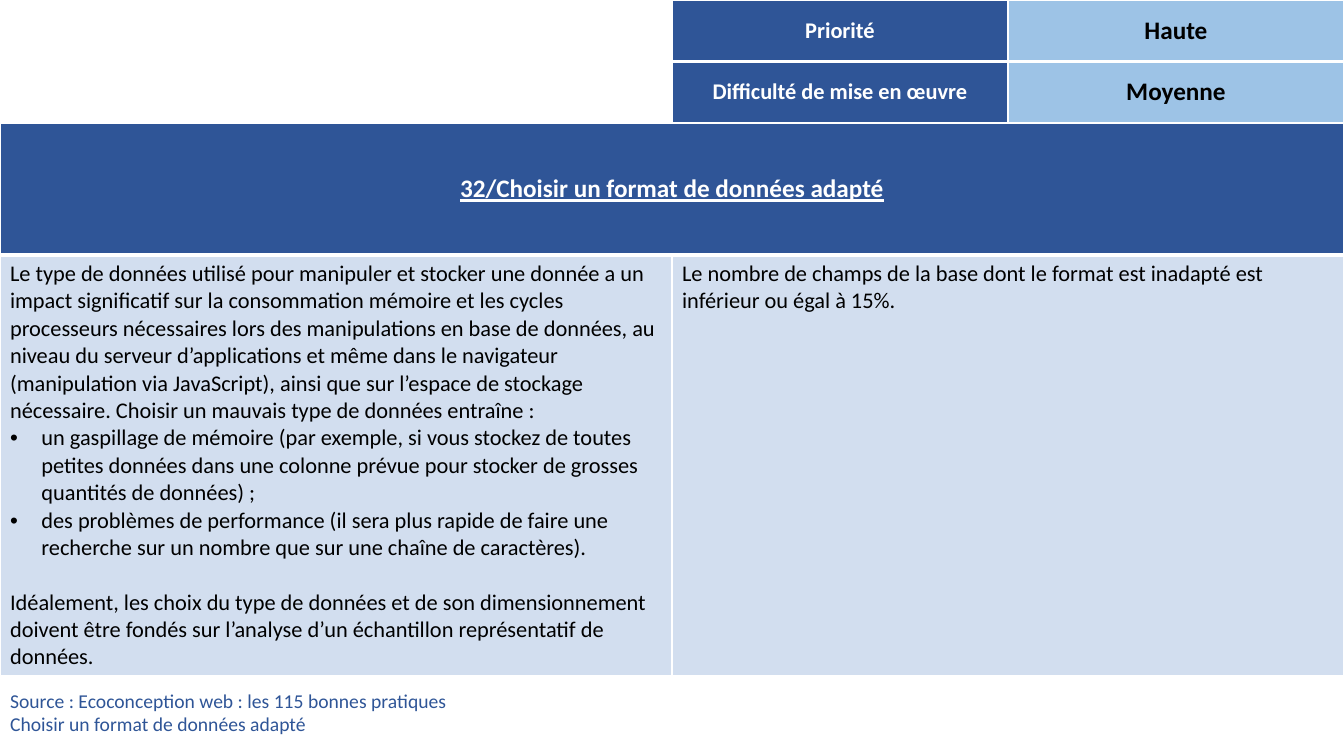
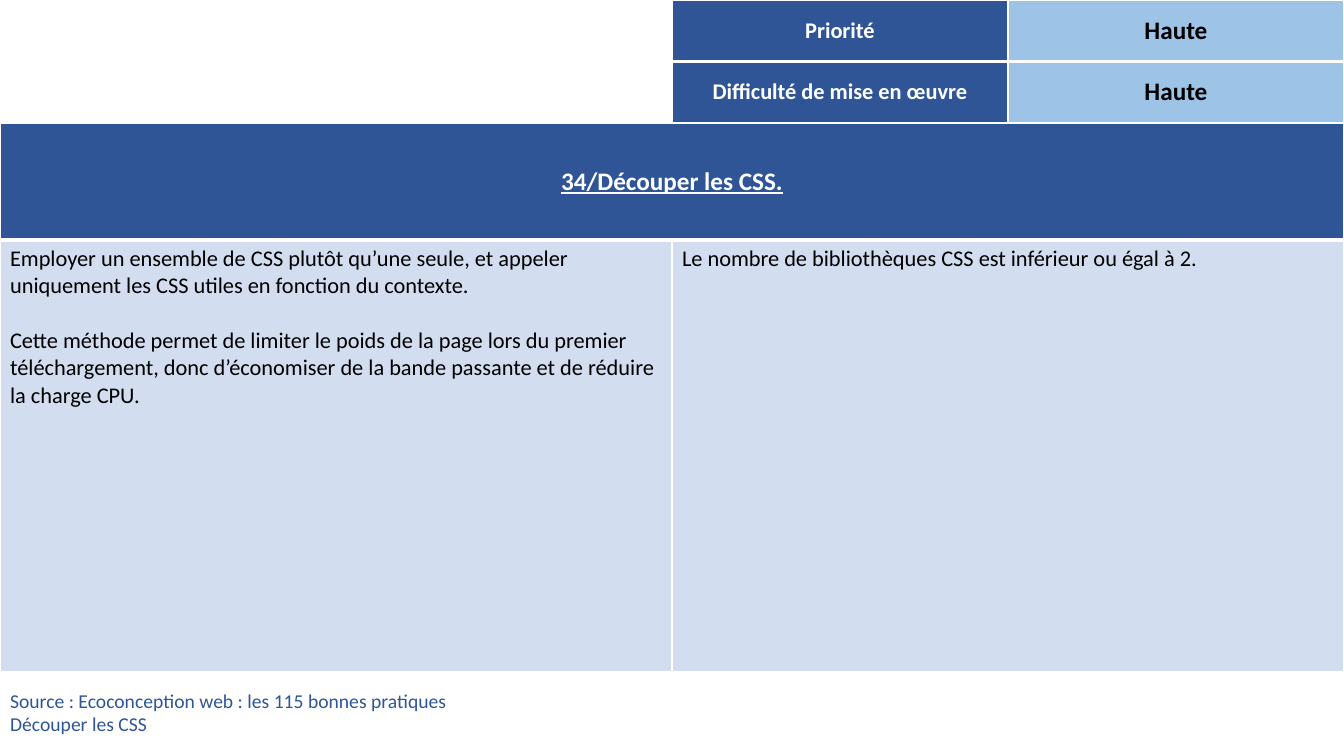
import pptx
import pptx.util
import pptx.dml.color
import pptx.enum.text
import pptx.oxml
import pptx.oxml.ns
from pptx.util import Cm, Pt

COLORS = {
    "white": "FFFFFF",
    "black": "000000",
    "navy": "2F5597",
    "sky": "9DC3E6",
    "pale": "D2DEEF",
}
FONT = "Calibri"
SLIDE_W, SLIDE_H = Cm(33.87), Cm(19.05)
HALF_W = SLIDE_W // 2
RATING_H = Cm(1.55)
SHEET_TOP, SHEET_H = 2 * RATING_H, Cm(13.83)
SOURCE_TOP, SOURCE_W, SOURCE_H = Cm(17.05), Cm(28.52), Cm(1.85)
GAP = Pt(19.5)
INDENT = Cm(0.79)

practices = [
    {
        "title": "32/Choisir un format de données adapté",
        "title_height": Cm(3.33),
        "priority": "Haute",
        "difficulty": "Moyenne",
        "description": [
            ("plain", "Le type de données utilisé pour manipuler et stocker une donnée a un "
             "impact significatif sur la consommation mémoire et les cycles processeurs "
             "nécessaires lors des manipulations en base de données, au niveau du serveur "
             "d’applications et même dans le navigateur (manipulation via JavaScript), ainsi "
             "que sur l’espace de stockage nécessaire. Choisir un mauvais type de données "
             "entraîne :"),
            ("bullet", "un gaspillage de mémoire (par exemple, si vous stockez de toutes "
             "petites données dans une colonne prévue pour stocker de grosses quantités de "
             "données) ;"),
            ("bullet", "des problèmes de performance (il sera plus rapide de faire une "
             "recherche sur un nombre que sur une chaîne de caractères)."),
            ("spaced", "Idéalement, les choix du type de données et de son dimensionnement "
             "doivent être fondés sur l’analyse d’un échantillon représentatif de données."),
        ],
        "criterion": "Le nombre de champs de la base dont le format est inadapté est "
                     "inférieur ou égal à 15%.",
        "reference": "Choisir un format de données adapté",
    },
    {
        "title": "34/Découper les CSS.",
        "title_height": Cm(2.95),
        "priority": "Haute",
        "difficulty": "Haute",
        "description": [
            ("plain", "Employer un ensemble de CSS plutôt qu’une seule, et appeler uniquement "
             "les CSS utiles en fonction du contexte."),
            ("spaced", "Cette méthode permet de limiter le poids de la page lors du premier "
             "téléchargement, donc d’économiser de la bande passante et de réduire la charge "
             "CPU."),
        ],
        "criterion": "Le nombre de bibliothèques CSS est inférieur ou égal à 2.",
        "reference": "Découper les CSS",
    },
]


def add_grid(s, left, top, widths, heights):
    """Add an unstyled table with white borders, thicker between rows."""
    table = s.shapes.add_table(len(heights), len(widths), left, top,
                               sum(widths), sum(heights)).table
    table.first_row = table.horz_banding = False
    for column, width in zip(table.columns, widths):
        column.width = width
    for i, (row, height) in enumerate(zip(table.rows, heights)):
        row.height = height
        above = 3 if i > 0 else 1
        below = 3 if i < len(heights) - 1 else 1
        for cell in row.cells:
            tcPr = cell._tc.get_or_add_tcPr()
            for side, points in (("L", 1), ("R", 1), ("T", above), ("B", below)):
                tcPr.append(pptx.oxml.parse_xml(
                    f'<a:ln{side} {pptx.oxml.ns.nsdecls("a")} w="{Pt(points)}"><a:solidFill>'
                    f'<a:srgbClr val="{COLORS["white"]}"/></a:solidFill></a:ln{side}>'))
    return table


def fill_cell(cell, paragraphs, fill, color, size, bold=False, underline=False,
              centered=False, middle=True):
    """Colour a cell and write (kind, text) paragraphs: plain, bullet or spaced."""
    cell.fill.solid()
    cell.fill.fore_color.rgb = pptx.dml.color.RGBColor.from_string(COLORS[fill])
    anchor = pptx.enum.text.MSO_ANCHOR
    cell.vertical_anchor = anchor.MIDDLE if middle else anchor.TOP
    tf = cell.text_frame
    tf.text = "\n".join(text for kind, text in paragraphs)
    for p, (kind, text) in zip(tf.paragraphs, paragraphs):
        if centered:
            p.alignment = pptx.enum.text.PP_ALIGN.CENTER
        if kind == "spaced":
            p.space_before = GAP
        if kind == "bullet":
            pPr = p._p.get_or_add_pPr()
            pPr.set("marL", str(INDENT))
            pPr.set("indent", str(-INDENT))
            for tag in ('buFont typeface="Arial"', 'buChar char="•"'):
                pPr.append(pptx.oxml.parse_xml(f'<a:{tag} {pptx.oxml.ns.nsdecls("a")}/>'))
        font = p.runs[0].font
        font.name, font.size = FONT, Pt(size)
        font.bold, font.underline = bold, underline
        font.color.rgb = pptx.dml.color.RGBColor.from_string(COLORS[color])


prs = pptx.Presentation()
prs.slide_width, prs.slide_height = SLIDE_W, SLIDE_H

for practice in practices:
    s = prs.slides.add_slide(prs.slide_layouts[6])

    title_h = practice["title_height"]
    sheet = add_grid(s, 0, SHEET_TOP, [HALF_W] * 2, [title_h, SHEET_H - title_h])
    sheet.cell(0, 0).merge(sheet.cell(0, 1))
    fill_cell(sheet.cell(0, 0), [("plain", practice["title"])], "navy", "white", 18,
              bold=True, underline=True, centered=True)
    bodies = [practice["description"], [("plain", practice["criterion"])]]
    for col, body in enumerate(bodies):
        fill_cell(sheet.cell(1, col), body, "pale", "black", 16, middle=False)

    rating = add_grid(s, HALF_W, 0, [HALF_W // 2] * 2, [RATING_H] * 2)
    ratings = [("Priorité", practice["priority"]),
               ("Difficulté de mise en œuvre", practice["difficulty"])]
    for row, (label, value) in enumerate(ratings):
        fill_cell(rating.cell(row, 0), [("plain", label)], "navy", "white", 16,
                  bold=True, centered=True)
        fill_cell(rating.cell(row, 1), [("plain", value)], "sky", "black", 18,
                  bold=True, centered=True)

    source = add_grid(s, 0, SOURCE_TOP, [SOURCE_W], [SOURCE_H])
    fill_cell(source.cell(0, 0),
              [("plain", "Source : Ecoconception web : les 115 bonnes pratiques"),
               ("plain", practice["reference"])], "white", "navy", 14)

prs.save("out.pptx")
